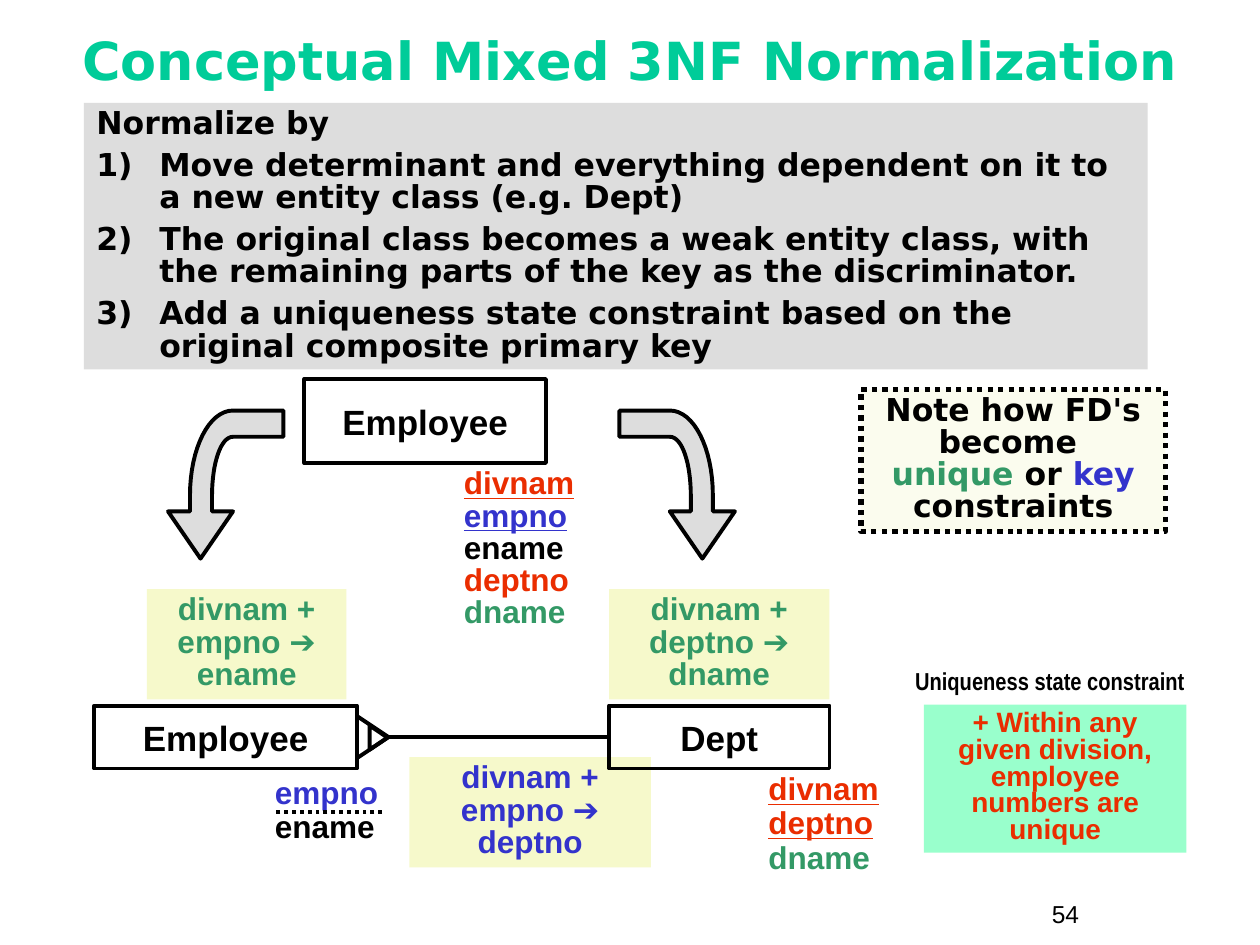
import pptx
import pptx.util
from lxml import etree
from pptx.dml.color import RGBColor
from pptx.enum.dml import MSO_LINE
from pptx.enum.shapes import MSO_CONNECTOR, MSO_SHAPE
from pptx.enum.text import MSO_ANCHOR, PP_ALIGN
from pptx.oxml.ns import qn

PX = 7620  # 120 px to the inch
BLACK = RGBColor(0x00, 0x00, 0x00)
TEAL = RGBColor(0x00, 0xCC, 0x99)
RED = RGBColor(0xEA, 0x2D, 0x00)
BLUE = RGBColor(0x33, 0x33, 0xCC)
GREEN = RGBColor(0x33, 0x99, 0x66)
GRAY = RGBColor(0xDD, 0xDD, 0xDD)
YELLOW = RGBColor(0xF6, 0xF9, 0xCB)
CREAM = RGBColor(0xFB, 0xFC, 0xEE)
MINT = RGBColor(0x99, 0xFF, 0xCC)
LEFT, CENTER = PP_ALIGN.LEFT, PP_ALIGN.CENTER
BREAK = ("\n", None, False)

deck = pptx.Presentation()
deck.slide_width = 1200 * PX
deck.slide_height = 900 * PX
page = deck.slides.add_slide(deck.slide_layouts[6])
shapes = page.shapes


def add_box(bounds, fill=None, line=None, kind=MSO_SHAPE.RECTANGLE):
    """Add a text box, or a preset shape when it has a fill or a line width."""
    place = [value * PX for value in bounds]
    if fill is None and line is None:
        box = shapes.add_textbox(*place)
    else:
        box = shapes.add_shape(kind, *place)
        box.shadow.inherit = False
        if fill is None:
            box.fill.background()
        else:
            box.fill.solid()
            box.fill.fore_color.rgb = fill
        if line is None:
            box.line.fill.background()
        else:
            box.line.color.rgb = BLACK
            box.line.width = pptx.util.Pt(line)
    box.text_frame.word_wrap = True
    box.text_frame.vertical_anchor = MSO_ANCHOR.TOP
    return box


def write(box, lines, size=18, font="Arial", spacing=0.85, align=LEFT, before=0, bold=True):
    """Fill the box; a line is a list of (text, colour, underline) runs or BREAK."""
    for index, line in enumerate(lines):
        frame = box.text_frame
        para = frame.add_paragraph() if index else frame.paragraphs[0]
        para.alignment = align
        para.line_spacing = spacing
        para.space_before = pptx.util.Pt(before if index else 0)
        for text, color, underline in line:
            if text == "\n":
                para.add_line_break()
                continue
            span = para.add_run()
            span.text = text
            span.font.name = font
            span.font.size = pptx.util.Pt(size)
            span.font.bold = bold
            span.font.underline = underline
            span.font.color.rgb = color


# Page number and title
write(add_box((990, 850, 110, 40)), [[("54", BLACK, False)]], size=14, spacing=1.0, bold=False)
title = add_box((40, 21, 1120, 80))
title.text_frame.vertical_anchor = MSO_ANCHOR.MIDDLE
write(title, [[("Conceptual Mixed 3NF Normalization", TEAL, False)]],
      size=30, font="DejaVu Sans", align=CENTER)

# Numbered steps
steps = add_box((80, 98, 1013, 254), GRAY)
step_texts = [
    "Normalize by",
    "Move determinant and everything dependent on it to a new entity class (e.g. Dept)",
    "The original class becomes a weak entity class, with the remaining parts of the key "
    "as the discriminator.",
    "Add a uniqueness state constraint based on the original composite primary key",
]
write(steps, [[(text, BLACK, False)] for text in step_texts], font="DejaVu Sans", before=5.6)
for para in steps.text_frame.paragraphs[1:]:
    properties = para._p.get_or_add_pPr()
    properties.set("marL", str(60 * PX))
    properties.set("indent", str(-60 * PX))
    etree.SubElement(properties, qn("a:buFont"), typeface="+mj-lt")
    etree.SubElement(properties, qn("a:buAutoNum"), type="arabicParenR")

# Functional dependencies
for bounds, text, color in [
    ((140, 561, 190, 105), "divnam + empno ➔ ename", GREEN),
    ((580, 561, 210, 105), "divnam + deptno ➔ dname", GREEN),
    ((390, 721, 230, 105), "divnam + empno ➔ deptno", BLUE),
]:
    write(add_box(bounds, YELLOW), [[(text, color, False)]], align=CENTER)

# Bent arrows, the right one mirroring the left: points, or four points of a curve
outline = [(270, 391)]
for part in [
    [(222, 391)],
    [(222, 391), (199, 391), (181, 427), (181, 472)],
    [(181, 487)], [(160, 487)], [(191, 532)], [(222, 487)], [(202, 487)], [(202, 472)],
    [(202, 472), (202, 442), (210, 416), (222, 416)],
    [(270, 416)],
]:
    if len(part) == 1:
        outline += part
        continue
    for step in range(1, 17):
        t = step / 16
        weights = ((1 - t) ** 3, 3 * t * (1 - t) ** 2, 3 * t * t * (1 - t), t ** 3)
        outline.append(tuple(sum(w * point[axis] for w, point in zip(weights, part))
                             for axis in (0, 1)))
for mirrored in (False, True):
    points = [((860 - x if mirrored else x) * PX, y * PX) for x, y in outline]
    builder = shapes.build_freeform(round(points[0][0]), round(points[0][1]))
    builder.add_line_segments(points[1:], close=True)
    arrow = builder.convert_to_shape()
    arrow.shadow.inherit = False
    arrow.fill.solid()
    arrow.fill.fore_color.rgb = GRAY
    arrow.line.color.rgb = BLACK
    arrow.line.width = pptx.util.Pt(2.25)

# Note
note = add_box((820, 371, 290, 135), CREAM, 3)
note.line.dash_style = MSO_LINE.ROUND_DOT
write(note, [[("Note how FD's", BLACK, False), BREAK, ("become ", BLACK, False), BREAK,
              ("unique", GREEN, False), (" or ", BLACK, False), ("key", BLUE, False),
              (" constraints", BLACK, False)]],
      font="DejaVu Sans", align=CENTER)

# Entity classes
entities = []
for bounds, name in [
    ((290, 361, 230, 80), "Employee"),
    ((90, 672, 250, 60), "Employee"),
    ((580, 672, 210, 60), "Dept"),
]:
    entity = add_box(bounds, line=2.25)
    entity.text_frame.word_wrap = False
    entity.text_frame.vertical_anchor = MSO_ANCHOR.MIDDLE
    write(entity, [[(name, BLACK, False)]], size=20, spacing=1.0, align=CENTER)
    entities.append(entity)
dept = entities[-1]

# Attributes
for bounds, spacing, attributes in [
    ((430, 441, 160, 166), 0.85,
     [("divnam", RED, True), ("empno", BLUE, True), ("ename", BLACK, False),
      ("deptno", RED, False), ("dname", GREEN, False)]),
    ((720, 731, 170, 110), 0.9,
     [("divnam", RED, True), ("deptno", RED, True), ("dname", GREEN, False)]),
    ((250, 734, 200, 77), 0.9, [("empno", BLUE, False), ("ename", BLACK, False)]),
]:
    write(add_box(bounds), [[attribute] for attribute in attributes], spacing=spacing)

# Relationship line with its foot, and the dotted discriminator underline
for start, end, dash, joined in [
    ((580, 702), (370, 702), None, dept),
    ((364, 773), (260, 773), MSO_LINE.ROUND_DOT, None),
]:
    line = shapes.add_connector(MSO_CONNECTOR.STRAIGHT, *[value * PX for value in start + end])
    if joined is not None:
        line.begin_connect(joined, 1)
    line.line.color.rgb = BLACK
    line.line.width = pptx.util.Pt(2.25)
    if dash is not None:
        line.line.dash_style = dash
    etree.SubElement(line._element.spPr, qn("a:effectLst"))
for bounds in [(335, 687, 40, 30), (349, 694, 23, 17)]:
    foot = add_box(bounds, line=2.25, kind=MSO_SHAPE.ISOSCELES_TRIANGLE)
    foot.rotation = 90

# Uniqueness constraint
write(add_box((880, 671, 250, 141), MINT),
      [[("+ Within any given division, employee numbers are unique", RED, False)]],
      size=16, spacing=0.8, align=CENTER)
write(add_box((850, 632, 300, 37)), [[("Uniqueness state constraint", BLACK, False)]],
      size=14, font="Arial Narrow", spacing=0.9, align=CENTER)

deck.save("out.pptx")
